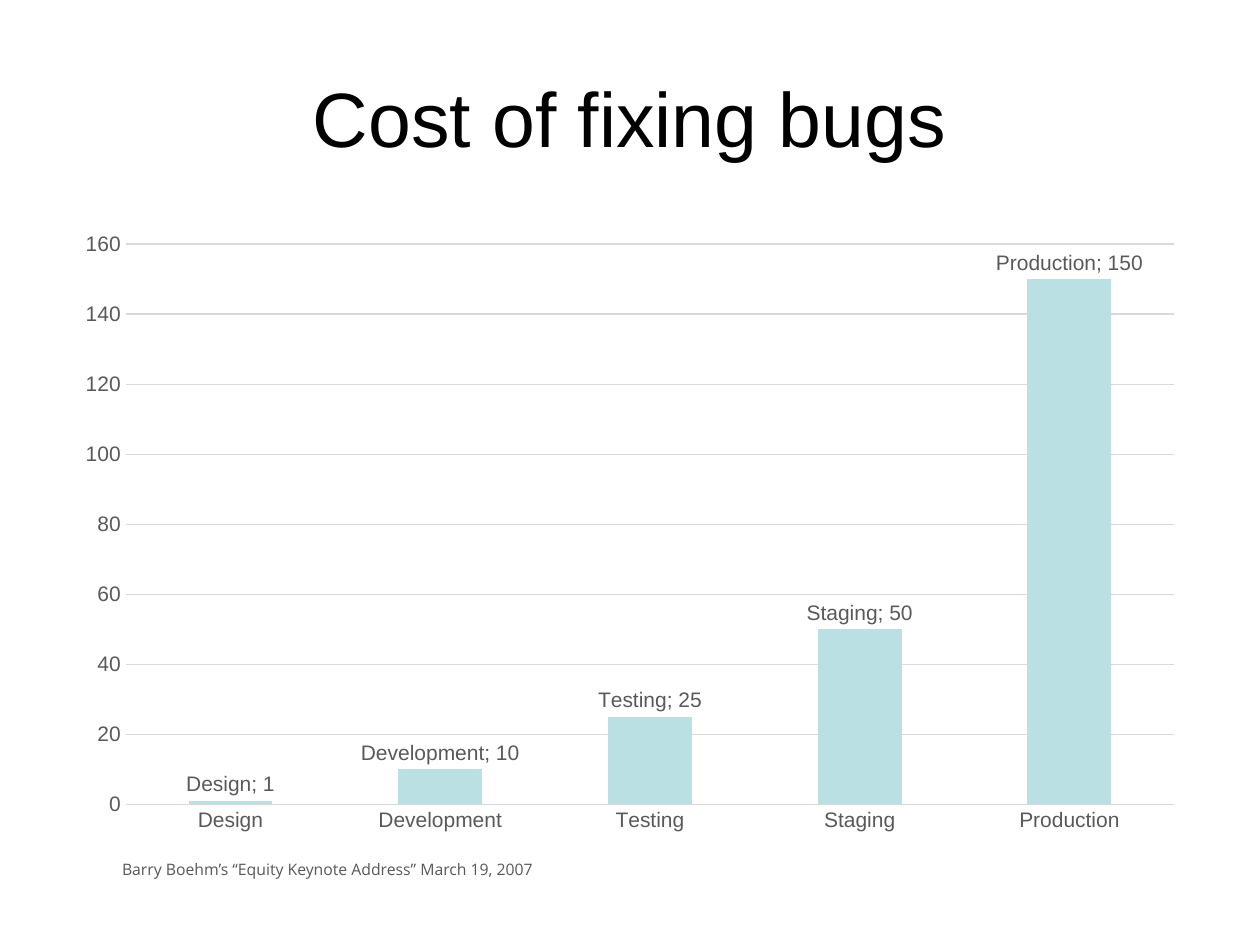
import lxml.etree
import pptx
import pptx.chart.data
import pptx.dml.color
import pptx.enum.chart
import pptx.enum.text
import pptx.oxml.ns
import pptx.util

Pt = pptx.util.Pt

COSTS = {"Design": 1, "Development": 10, "Testing": 25, "Staging": 50, "Production": 150}
GREY = "595959"


def colour(hex_string):
    return pptx.dml.color.RGBColor.from_string(hex_string)


def style_font(font, size, hex_string, name="Arial"):
    font.size = Pt(size)
    font.name = name
    font.bold = False
    font.color.rgb = colour(hex_string)


def place_title(page, left, top, width, height):
    title = page.shapes.title
    title.left, title.top, title.width, title.height = map(Pt, (left, top, width, height))
    frame = title.text_frame
    frame.text = "Cost of fixing bugs"
    frame.vertical_anchor = pptx.enum.text.MSO_ANCHOR.MIDDLE
    para = frame.paragraphs[0]
    para.alignment = pptx.enum.text.PP_ALIGN.CENTER
    style_font(para.runs[0].font, 44, "000000")


def style_axis(axis):
    axis.major_tick_mark = pptx.enum.chart.XL_TICK_MARK.NONE
    axis.minor_tick_mark = pptx.enum.chart.XL_TICK_MARK.NONE
    axis.format.line.fill.background()
    style_font(axis.tick_labels.font, 12, GREY)


def style_labels(labels):
    labels.show_value = True
    labels.show_category_name = True
    labels.position = pptx.enum.chart.XL_LABEL_POSITION.OUTSIDE_END
    style_font(labels.font, 12, GREY)
    qn = pptx.oxml.ns.qn
    separator = lxml.etree.Element(qn("c:separator"))
    separator.text = "; "
    labels._element.find(qn("c:showBubbleSize")).addnext(separator)


def place_cost_chart(page, left, top, width, height):
    chart_data = pptx.chart.data.CategoryChartData()
    chart_data.categories = list(COSTS)
    chart_data.add_series("Series 1", list(COSTS.values()))
    chart = page.shapes.add_chart(
        pptx.enum.chart.XL_CHART_TYPE.COLUMN_CLUSTERED,
        Pt(left), Pt(top), Pt(width), Pt(height), chart_data,
    ).chart
    chart.has_legend = False
    chart.has_title = False
    style_font(chart.font, 10, "000000")

    style_axis(chart.category_axis)
    value_axis = chart.value_axis
    style_axis(value_axis)
    value_axis.minimum_scale = 0
    value_axis.maximum_scale = 160
    value_axis.major_unit = 20
    grid_line = value_axis.major_gridlines.format.line
    grid_line.color.rgb = colour("D9D9D9")
    grid_line.width = Pt(0.75)

    plot = chart.plots[0]
    plot.gap_width = 150
    plot.vary_by_categories = False
    series = plot.series[0]
    series.format.fill.solid()
    series.format.fill.fore_color.rgb = colour("BBE0E3")
    style_labels(series.data_labels)


def place_citation(page, left, top, width, height):
    box = page.shapes.add_textbox(Pt(left), Pt(top), Pt(width), Pt(height))
    frame = box.text_frame
    frame.word_wrap = False
    frame.auto_size = pptx.enum.text.MSO_AUTO_SIZE.SHAPE_TO_FIT_TEXT
    frame.text = "Barry Boehm’s “Equity Keynote Address” March 19, 2007"
    style_font(frame.paragraphs[0].runs[0].font, 9, "585858", "Open Sans")


def main():
    deck = pptx.Presentation()
    deck.slide_width, deck.slide_height = Pt(720), Pt(540)
    page = deck.slides.add_slide(deck.slide_layouts.get_by_name("Title Only"))
    place_title(page, 36, 21.6, 648, 90)
    place_cost_chart(page, 36, 126, 648, 356.4)
    place_citation(page, 62.64, 487.44, 251.28, 18)
    deck.save("out.pptx")


if __name__ == "__main__":
    main()
